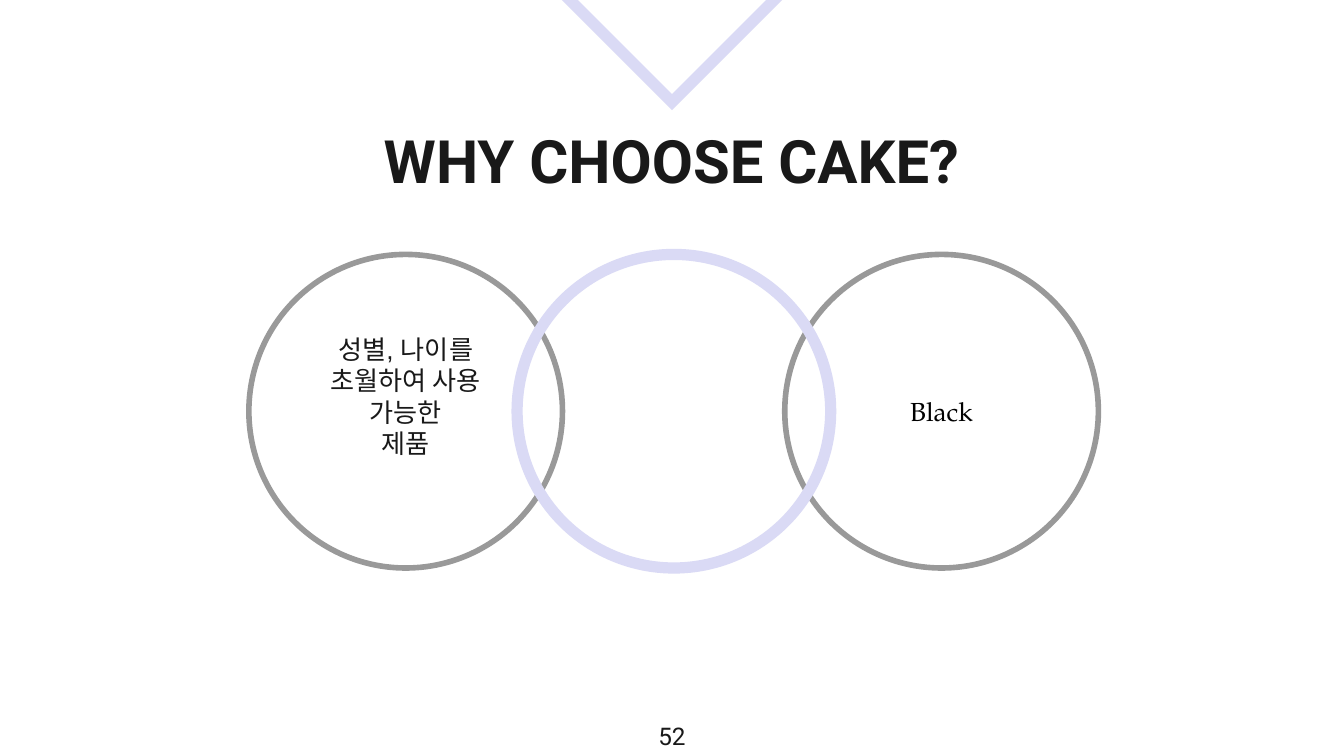
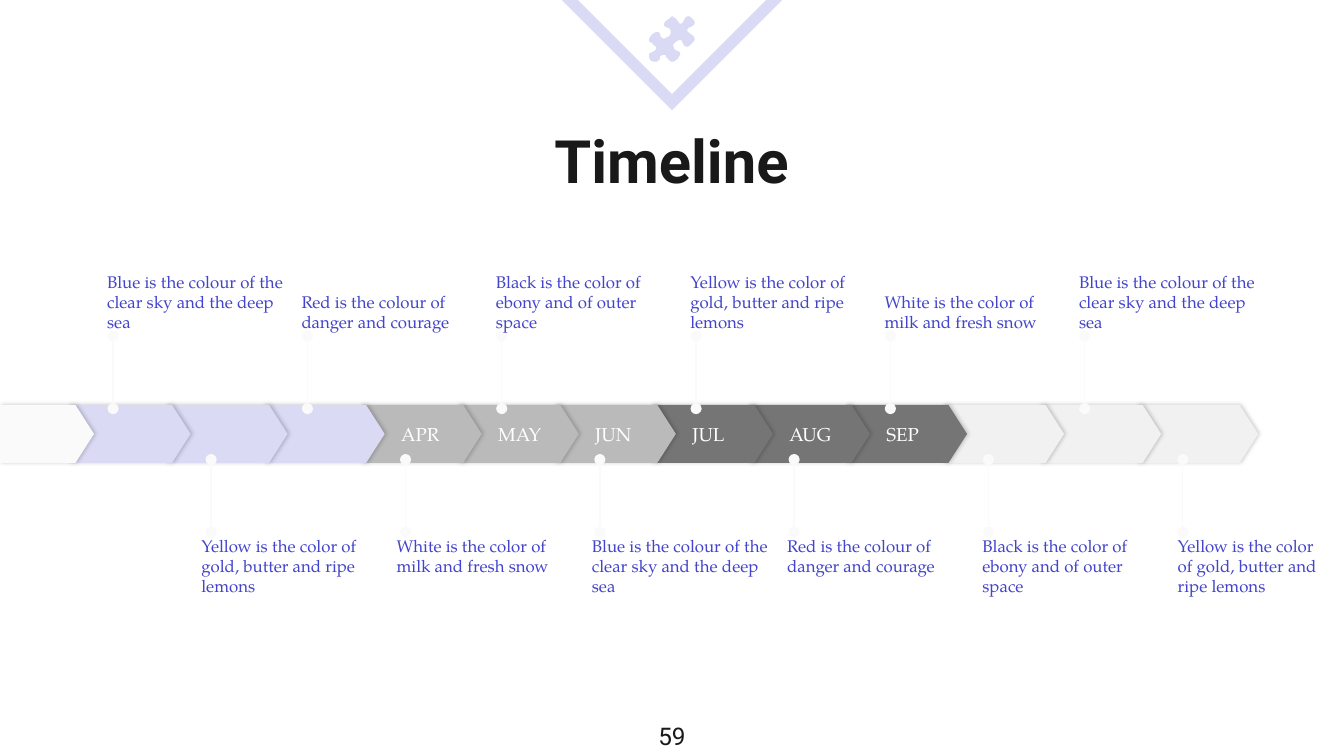
from dataclasses import dataclass

from lxml import etree
from pptx import Presentation
from pptx import util as u
from pptx.dml.color import RGBColor
from pptx.enum import shapes, text
from pptx.oxml.ns import qn

LAVENDER = RGBColor(0xDA, 0xDA, 0xF5)
INK = RGBColor(0x19, 0x19, 0x19)
BLACK = RGBColor(0x00, 0x00, 0x00)
WHITE = RGBColor(0xFF, 0xFF, 0xFF)
RING_GRAY = RGBColor(0x99, 0x99, 0x99)
NOTE_BLUE = RGBColor(0x43, 0x44, 0xCB)
PALE = RGBColor(0xFA, 0xFA, 0xFA)
LIGHT_GRAY = RGBColor(0xF1, 0xF1, 0xF1)
MID_GRAY = RGBColor(0xBA, 0xBA, 0xBA)
DARK_GRAY = RGBColor(0x75, 0x75, 0x75)

SANS, SERIF = "Roboto", "TeX Gyre Pagella"
PAGE_WIDTH, PAGE_HEIGHT = 720, 405
INSET = 7.2
MONTH_STEP, BAND_TOP, BAND_HEIGHT = 52, 217, 31
PIN_STEP = 52.05
NOTE_WIDTH, NOTE_HEIGHT = 98.6, 41.8
PUZZLE_UNIT = 0.72

TOP, MIDDLE, BOTTOM = (
    text.MSO_ANCHOR.TOP, text.MSO_ANCHOR.MIDDLE, text.MSO_ANCHOR.BOTTOM)
LEFT, CENTER = text.PP_ALIGN.LEFT, text.PP_ALIGN.CENTER


@dataclass(frozen=True)
class Frame:
    """Position and size in points."""
    left: float
    top: float
    width: float
    height: float

    def lengths(self) -> list:
        """Return the frame as lengths for python-pptx."""
        return [u.Pt(n) for n in (self.left, self.top, self.width, self.height)]


@dataclass(frozen=True)
class Style:
    """Look of the text in one box."""
    name: str
    size: float
    color: RGBColor
    bold: bool = False
    align: text.PP_ALIGN = CENTER
    anchor: text.MSO_ANCHOR = TOP
    insets: tuple = (INSET,) * 4


@dataclass(frozen=True)
class Ring:
    """Circle of the overlapping trio."""
    left: float
    color: RGBColor
    weight: float
    lines: tuple
    style: Style


@dataclass(frozen=True)
class Month:
    """Step of the timeline, its note and its label, if any."""
    color: RGBColor
    note: str
    label: str = ""


TITLE = Style(SANS, 32, INK, bold=True)
NUMBER = Style(SANS, 13, INK)
MONTH_LABEL = Style(SERIF, 10, WHITE, align=LEFT, anchor=MIDDLE,
                    insets=(21.6, 0, 0, 0))
UPPER_NOTE = Style(SERIF, 9, NOTE_BLUE, align=LEFT, anchor=BOTTOM, insets=(0,) * 4)
LOWER_NOTE = Style(SERIF, 9, NOTE_BLUE, align=LEFT, insets=(0,) * 4)
RING_LABEL = Style(SERIF, 14, BLACK, anchor=MIDDLE)

RINGS = (
    Ring(133.3, RING_GRAY, 3, ("성별, 나이를 초월하여 사용 가능한", "제품"),
         Style("Arial", 14, INK, anchor=MIDDLE, insets=(INSET, INSET, INSET, 23.6))),
    Ring(420.4, RING_GRAY, 3, ("Black",), RING_LABEL),
    Ring(277, LAVENDER, 6, (), RING_LABEL),
)

BLUE_NOTE = "Blue is the colour of the clear sky and the deep sea"
RED_NOTE = "Red is the colour of danger and courage"
BLACK_NOTE = "Black is the color of ebony and of outer space"
YELLOW_NOTE = "Yellow is the color of gold, butter and ripe lemons"
WHITE_NOTE = "White is the color of milk and fresh snow"

MONTHS = (
    Month(LAVENDER, BLUE_NOTE),
    Month(LAVENDER, YELLOW_NOTE),
    Month(LAVENDER, RED_NOTE),
    Month(MID_GRAY, WHITE_NOTE, "APR"),
    Month(MID_GRAY, BLACK_NOTE, "MAY"),
    Month(MID_GRAY, BLUE_NOTE, "JUN"),
    Month(DARK_GRAY, YELLOW_NOTE, "JUL"),
    Month(DARK_GRAY, RED_NOTE, "AUG"),
    Month(DARK_GRAY, WHITE_NOTE, "SEP"),
    Month(LIGHT_GRAY, BLACK_NOTE),
    Month(LIGHT_GRAY, BLUE_NOTE),
    Month(LIGHT_GRAY, YELLOW_NOTE),
)

PUZZLE = (
    (17, 0), (15, 2), (12, 4), (11, 6), (11, 7), (12, 8), (14, 9), (15, 9),
    (16, 11), (16, 13), (15, 15), (13, 16), (11, 17), (9, 16), (8, 14), (8, 13),
    (7, 12), (5, 12), (3, 13), (1, 15), (0, 17), (0, 19), (2, 20), (4, 22),
    (5, 23), (5, 25), (4, 26), (2, 27), (0, 28), (0, 31), (1, 33), (3, 34),
    (6, 34), (8, 32), (8, 30), (10, 29), (12, 29), (13, 31), (16, 34), (18, 34),
    (21, 32), (23, 29), (23, 27), (21, 26), (19, 25), (18, 23), (18, 21), (20, 19),
    (22, 18), (24, 18), (25, 20), (26, 22), (28, 23), (30, 22), (33, 19), (34, 17),
    (33, 15), (29, 12), (28, 11), (29, 9), (31, 8), (33, 7), (34, 5), (33, 3),
    (31, 1), (29, 0), (27, 1), (26, 3), (25, 5), (23, 6), (22, 5), (20, 2), (18, 1),
)


def apply(target, values: dict) -> None:
    """Set each named attribute on the target."""
    for name, value in values.items():
        setattr(target, name, value)


def write(box, lines: tuple, style: Style) -> None:
    """Fill a box with styled paragraphs."""
    frame = box.text_frame
    sides = ("margin_left", "margin_top", "margin_right", "margin_bottom")
    apply(frame, {"word_wrap": True, "vertical_anchor": style.anchor,
                  **{side: u.Pt(n) for side, n in zip(sides, style.insets)}})
    for index, line in enumerate(lines):
        para = frame.add_paragraph() if index else frame.paragraphs[0]
        para.alignment = style.align
        span = para.add_run()
        span.text = line
        apply(span.font, {"name": style.name, "size": u.Pt(style.size),
                          "bold": style.bold})
        span.font.color.rgb = style.color


def add_text(page, frame: Frame, content: str, style: Style) -> None:
    """Place a text box."""
    write(page.shapes.add_textbox(*frame.lengths()), (content,), style)


def add_outline(page, kind, frame: Frame, color: RGBColor, weight: float):
    """Place an unfilled preset shape with sharp corners."""
    shape = page.shapes.add_shape(kind, *frame.lengths())
    shape.shadow.inherit = False
    shape.fill.background()
    shape.line.color.rgb = color
    shape.line.width = u.Pt(weight)
    etree.SubElement(shape.element.spPr.find(qn("a:ln")), qn("a:miter"), lim="800000")
    return shape


def paint(shape, color: RGBColor) -> None:
    """Give a shape a flat fill without line or shadow."""
    shape.shadow.inherit = False
    shape.fill.solid()
    shape.fill.fore_color.rgb = color
    shape.line.fill.background()


def add_arrow_band(page, left: float, width: float, color: RGBColor):
    """Place one pentagon of the timeline with its soft shadow."""
    frame = Frame(left, BAND_TOP, width, BAND_HEIGHT)
    shape = page.shapes.add_shape(shapes.MSO_SHAPE.PENTAGON, *frame.lengths())
    shape.adjustments[0] = 0.32
    paint(shape, color)
    effects = shape.element.spPr.find(qn("a:effectLst"))
    shadow = etree.SubElement(effects, qn("a:outerShdw"), {
        "blurRad": str(u.Pt(2.2)), "dist": str(u.Pt(0.8)), "dir": "0",
        "algn": "ctr", "rotWithShape": "0"})
    tint = etree.SubElement(shadow, qn("a:srgbClr"), val=str(BLACK))
    etree.SubElement(tint, qn("a:alpha"), val="20000")
    return shape


def add_pin(page, x: float, start: float, end: float) -> None:
    """Draw a vertical line with round ends."""
    pin = page.shapes.add_connector(
        shapes.MSO_CONNECTOR.STRAIGHT, *(u.Pt(n) for n in (x, start, x, end)))
    pin.line.color.rgb = PALE
    pin.line.width = u.Pt(0.75)
    properties = pin.element.spPr
    line = properties.find(qn("a:ln"))
    for tag in ("a:headEnd", "a:tailEnd"):
        etree.SubElement(line, qn(tag), type="oval", w="med", len="med")
    etree.SubElement(properties, qn("a:effectLst"))


def add_page(deck, title: str, number: str):
    """Start a slide with its top marker, title and page number."""
    page = deck.slides.add_slide(deck.slide_layouts[6])
    marker = add_outline(page, shapes.MSO_SHAPE.ISOSCELES_TRIANGLE,
                         Frame(301, -4.3, 118, 59), LAVENDER, 6)
    marker.rotation = 180
    add_text(page, Frame(81.2, 59, 557.2, 42.5), title, TITLE)
    add_text(page, Frame(0, 379.1, PAGE_WIDTH, 25.9), number, NUMBER)
    return page


def build_reasons(deck) -> None:
    """Build the slide with three overlapping rings."""
    page = add_page(deck, "WHY CHOOSE CAKE?", "52")
    for ring in RINGS:
        circle = add_outline(page, shapes.MSO_SHAPE.OVAL,
                             Frame(ring.left, 136.3, 168, 168),
                             ring.color, ring.weight)
        write(circle, ring.lines, ring.style)


def add_note(page, index: int, note: str) -> None:
    """Place a month's pin and note, alternating above and below the band."""
    pair, below = divmod(index, 2)
    x = 60.6 + PIN_STEP * index
    if below:
        add_pin(page, x + 0.5, 285.1, 246.2)
        left = 107.9 + 104.6 * pair
        width = min(NOTE_WIDTH, PAGE_WIDTH - INSET - left)
        add_text(page, Frame(left, 287, width, NOTE_HEIGHT), note, LOWER_NOTE)
    else:
        add_pin(page, x, 218.9, 180)
        left = 57.4 + 104.14 * pair
        add_text(page, Frame(left, 136.1, NOTE_WIDTH, NOTE_HEIGHT), note, UPPER_NOTE)


def build_timeline(deck) -> None:
    """Build the slide with the year's timeline."""
    page = add_page(deck, "Timeline", "59")
    for index, month in reversed(list(enumerate(MONTHS))):
        band = add_arrow_band(page, 37.3 + MONTH_STEP * index, 64.8, month.color)
        if month.label:
            write(band, (month.label,), MONTH_LABEL)
    add_arrow_band(page, 0, 50.4, PALE)
    for index, month in enumerate(MONTHS):
        add_note(page, index, month.note)
    outline = page.shapes.build_freeform(*PUZZLE[0], scale=u.Pt(PUZZLE_UNIT))
    outline.add_line_segments(PUZZLE[1:], close=True)
    paint(outline.convert_to_shape(u.Pt(347.8), u.Pt(8.6)), LAVENDER)


def main() -> None:
    """Build and save the deck."""
    deck = Presentation()
    apply(deck, {"slide_width": u.Pt(PAGE_WIDTH), "slide_height": u.Pt(PAGE_HEIGHT)})
    build_reasons(deck)
    build_timeline(deck)
    deck.save("out.pptx")


if __name__ == "__main__":
    main()
